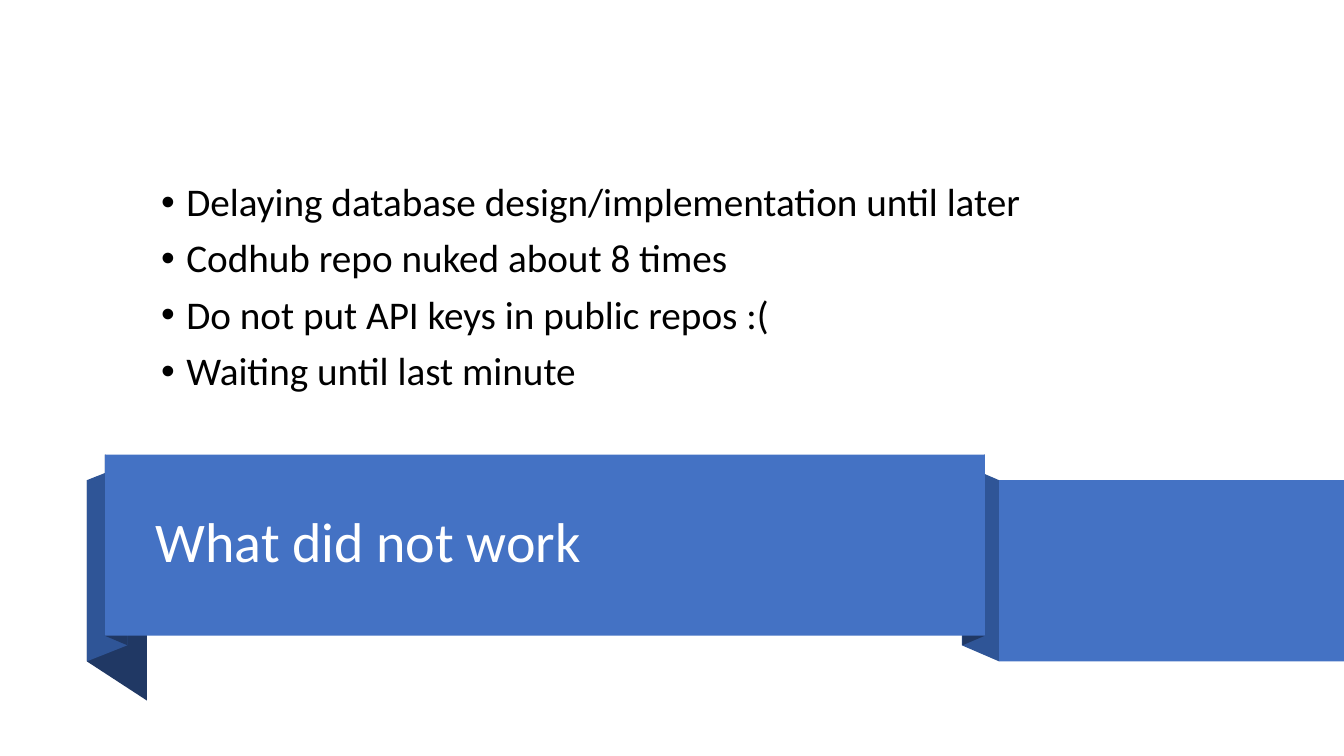
from lxml.etree import SubElement
from pptx import Presentation
from pptx.dml.color import RGBColor
from pptx.enum.shapes import MSO_SHAPE as Shape
from pptx.enum.text import MSO_ANCHOR as Anchor, PP_ALIGN as Align
from pptx.oxml.ns import qn
from pptx.util import Pt

TITLE = "What did not work"
PROBLEMS = [
    "Delaying database design/implementation until later",
    "Codhub repo nuked about 8 times",
    "Do not put API keys in public repos :(",
    "Waiting until last minute",
]
FONT = "Calibri"
BLUE, MID_BLUE, NAVY = "4472C4", "2F5597", "203864"

# Ribbon geometry in points; every band has the same height.
BAND = 129.4
FRONT_LEFT, FRONT_RIGHT, FRONT_TOP = 75, 703.5, 324.7
TAIL_LEFT, TAIL_TOP, SLIDE_RIGHT = 713.7, 343, 960
LEFT_EDGE, FOLD_TOP = 62, 331.5
# Each fold: colour, then the top corner it starts and ends at
FOLDS = [
    (NAVY, (LEFT_EDGE, TAIL_TOP), (105, 371)),
    (MID_BLUE, (LEFT_EDGE, TAIL_TOP), (91, FOLD_TOP)),
    (NAVY, (FRONT_LEFT, FRONT_TOP), (91, FOLD_TOP)),
    (MID_BLUE, (TAIL_LEFT, TAIL_TOP), (687, FOLD_TOP)),
    (NAVY, (FRONT_RIGHT, FRONT_TOP), (687.5, FOLD_TOP)),
]


def color(hex_code):
    return RGBColor.from_string(hex_code)


def paint(shape, fill):
    shape.shadow.inherit = False
    shape.fill.solid()
    shape.fill.fore_color.rgb = color(fill)
    shape.line.fill.background()


def add_fold(slide, fill, start, end):
    (x1, y1), (x2, y2) = start, end
    corners = [(x2, y2), (x2, y2 + BAND), (x1, y1 + BAND)]
    builder = slide.shapes.build_freeform(Pt(x1), Pt(y1))
    builder.add_line_segments([(Pt(x), Pt(y)) for x, y in corners], close=True)
    paint(builder.convert_to_shape(), fill)


def add_band(slide, left, right, top):
    band = slide.shapes.add_shape(
        Shape.RECTANGLE, Pt(left), Pt(top), Pt(right - left), Pt(BAND))
    paint(band, BLUE)


def write(shape, lines, size, ink, before=0, bulleted=False):
    frame = shape.text_frame
    frame.word_wrap = True
    frame.vertical_anchor = Anchor.MIDDLE
    frame.text = "\n".join(lines)
    for paragraph in frame.paragraphs:
        paragraph.alignment = Align.LEFT
        paragraph.line_spacing = 0.9
        paragraph.space_before = Pt(before)
        font = paragraph.runs[0].font
        font.name, font.size, font.color.rgb = FONT, Pt(size), color(ink)
        if bulleted:
            props = paragraph._p.get_or_add_pPr()
            props.set("marL", str(Pt(18)))
            props.set("indent", str(-Pt(18)))
            SubElement(props, qn("a:buFont"), typeface="Arial")
            SubElement(props, qn("a:buChar"), char="•")


def main():
    deck = Presentation()
    deck.slide_width, deck.slide_height = Pt(SLIDE_RIGHT), Pt(540)
    slide = deck.slides.add_slide(deck.slide_layouts[5])

    for fold in FOLDS:
        add_fold(slide, *fold)
    add_band(slide, FRONT_LEFT, FRONT_RIGHT, FRONT_TOP)

    title = slide.shapes.title
    title.left, title.top, title.width, title.height = Pt(104), Pt(340.5), Pt(587), Pt(96)
    write(title, [TITLE], size=40, ink="FFFFFF")
    slide.shapes._spTree.append(title._element)  # bring in front of the ribbon

    problems = slide.shapes.add_textbox(Pt(108), Pt(66), Pt(663), Pt(280))
    write(problems, PROBLEMS, size=28, ink="000000", before=10, bulleted=True)

    add_band(slide, TAIL_LEFT, SLIDE_RIGHT, TAIL_TOP)
    deck.save("out.pptx")


if __name__ == "__main__":
    main()
